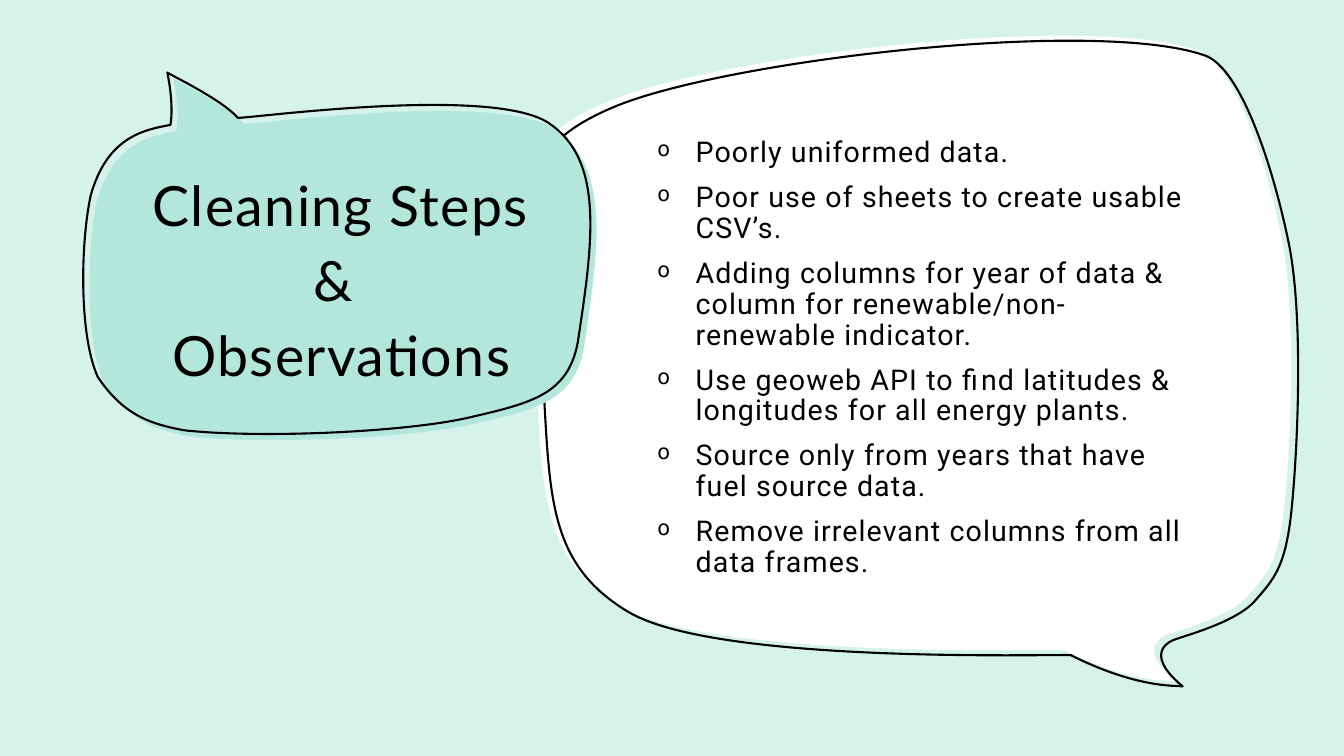
"""Build a slide with a title bubble and a bubble of bulleted notes."""
import pptx
import pptx.util
import pptx.dml.color
import pptx.enum.shapes
import pptx.enum.text
import pptx.oxml.ns
from lxml import etree

TITLE = "Cleaning Steps & \vObservations"
NOTES = [
    "Poorly uniformed data.",
    "Poor use of sheets to create usable CSV’s.",
    "Adding columns for year of data & column for renewable/non-renewable indicator.",
    "Use geoweb API to find latitudes & longitudes for all energy plants.",
    "Source only from years that have fuel source data.",
    "Remove irrelevant columns from all data frames.",
]

NOTE_CURVE = [
    (1157, 630),
    (1170, 625), (1217, 613), (1237, 592),
    (1256, 570), (1268, 559), (1274, 501),
    (1280, 442), (1286, 315), (1272, 240),
    (1257, 165), (1225, 63), (1188, 50),
    (1079, 12), (709, 55), (600, 102),
    (490, 149), (520, 206), (529, 331),
    (540, 474), (528, 549), (616, 602),
    (703, 654), (1032, 644), (1055, 645),
    (1121, 678), (1159, 675), (1166, 676),
    (1124, 641), (1157, 630), (1157, 630),
]
HEAD_CURVE = [
    (172, 78),
    (180, 83), (226, 105), (242, 123),
    (258, 123), (494, 91), (550, 128),
    (606, 165), (594, 247), (579, 346),
    (569, 398), (533, 406), (468, 421),
    (403, 435), (265, 441), (189, 433),
    (157, 427), (129, 419), (103, 380),
    (84, 338), (86, 246), (96, 200),
    (112, 143), (147, 135), (175, 130),
    (175, 130), (179, 113), (172, 78),
]
NOTE_SHIFT, HEAD_SHIFT = (7, 5), (-6, -6)
SLIDE = (0, 0, 1333, 750)
HEAD_BOX = (134, 158, 409, 228)
NOTE_BOX = (640, 124, 558, 461)
INDENT = 38

THEME = {
    "back": "D5F2EB", "note": "FFFFFF", "head": "B2E7DA", "ink": "000000",
    "line": 1.5,
    "title": {"size": 39.6, "name": "Lato", "gap": 100},
    "body": {"size": 20.4, "name": "Roboto", "gap": 80},
}
SCALE = 9144
Pt = pptx.util.Pt
qn = pptx.oxml.ns.qn
ALIGN = pptx.enum.text.PP_ALIGN


def px(n):
    return pptx.util.Emu(n * SCALE)


def tint(key):
    return pptx.dml.color.RGBColor.from_string(THEME[key])


def put(thing, values):
    for name, value in values.items():
        setattr(thing, name, value)


def place(shape, box):
    put(shape, dict(zip(("left", "top", "width", "height"), map(px, box))))


def paint(shape, fill=None):
    shape.shadow.inherit = False
    if fill:
        shape.fill.solid()
        shape.fill.fore_color.rgb = tint(fill)
        shape.line.fill.background()
    else:
        shape.fill.background()
        shape.line.color.rgb = tint("ink")
        shape.line.width = Pt(THEME["line"])


def bubble(shapes, curve, shift=(0, 0), fill=None):
    dots = [(x + shift[0], y + shift[1]) for x, y in curve]
    form = shapes.build_freeform(*dots[0], scale=SCALE)
    form.add_line_segments(dots[1:], close=True)
    shape = form.convert_to_shape()
    steps = list(shape._element.iter(qn("a:lnTo")))
    for i in range(0, len(steps), 3):
        bend = etree.Element(qn("a:cubicBezTo"))
        steps[i].addprevious(bend)
        for step in steps[i:i + 3]:
            bend.append(step[0])
            step.getparent().remove(step)
    paint(shape, fill)


def frame(shape, box):
    place(shape, box)
    put(shape.text_frame, {
        "word_wrap": True,
        "auto_size": pptx.enum.text.MSO_AUTO_SIZE.NONE,
        "vertical_anchor": pptx.enum.text.MSO_ANCHOR.MIDDLE,
        "margin_left": px(12), "margin_right": px(12),
        "margin_top": px(12), "margin_bottom": px(10),
    })
    return shape.text_frame


def write(para, text, style, form):
    para.text = text
    put(para, form)
    for run in para.runs:
        put(run.font, {"size": Pt(style["size"]), "name": style["name"]})
        run.font.color.rgb = tint("ink")
        run._r.get_or_add_rPr().set("spc", str(style["gap"]))


def bullet(para):
    props = para._p.get_or_add_pPr()
    props.set("marL", str(px(INDENT)))
    props.set("indent", str(px(-INDENT)))
    etree.SubElement(props, qn("a:buSzPct"), val="73000")
    etree.SubElement(props, qn("a:buChar"), char="o")


def main():
    deck = pptx.Presentation()
    put(deck, {"slide_width": px(SLIDE[2]), "slide_height": px(SLIDE[3])})
    slide = deck.slides.add_slide(deck.slide_layouts[5])
    shapes = slide.shapes
    rect = pptx.enum.shapes.MSO_SHAPE.RECTANGLE
    paint(shapes.add_shape(rect, *map(px, SLIDE)), "back")

    bubble(shapes, NOTE_CURVE, fill="note")
    bubble(shapes, NOTE_CURVE, NOTE_SHIFT)
    bubble(shapes, HEAD_CURVE, fill="head")
    title = shapes.title
    shapes._spTree.append(title._element)
    head = frame(title, HEAD_BOX)
    write(head.paragraphs[0], TITLE, THEME["title"],
          {"alignment": ALIGN.CENTER, "line_spacing": 1.13})
    bubble(shapes, HEAD_CURVE, HEAD_SHIFT)

    body = frame(shapes.add_textbox(*map(px, NOTE_BOX)), NOTE_BOX)
    for i, note in enumerate(NOTES):
        para = body.add_paragraph() if i else body.paragraphs[0]
        write(para, note, THEME["body"],
              {"alignment": ALIGN.LEFT, "line_spacing": 0.9, "space_before": Pt(10)})
        bullet(para)
    deck.save("out.pptx")


if __name__ == "__main__":
    main()
